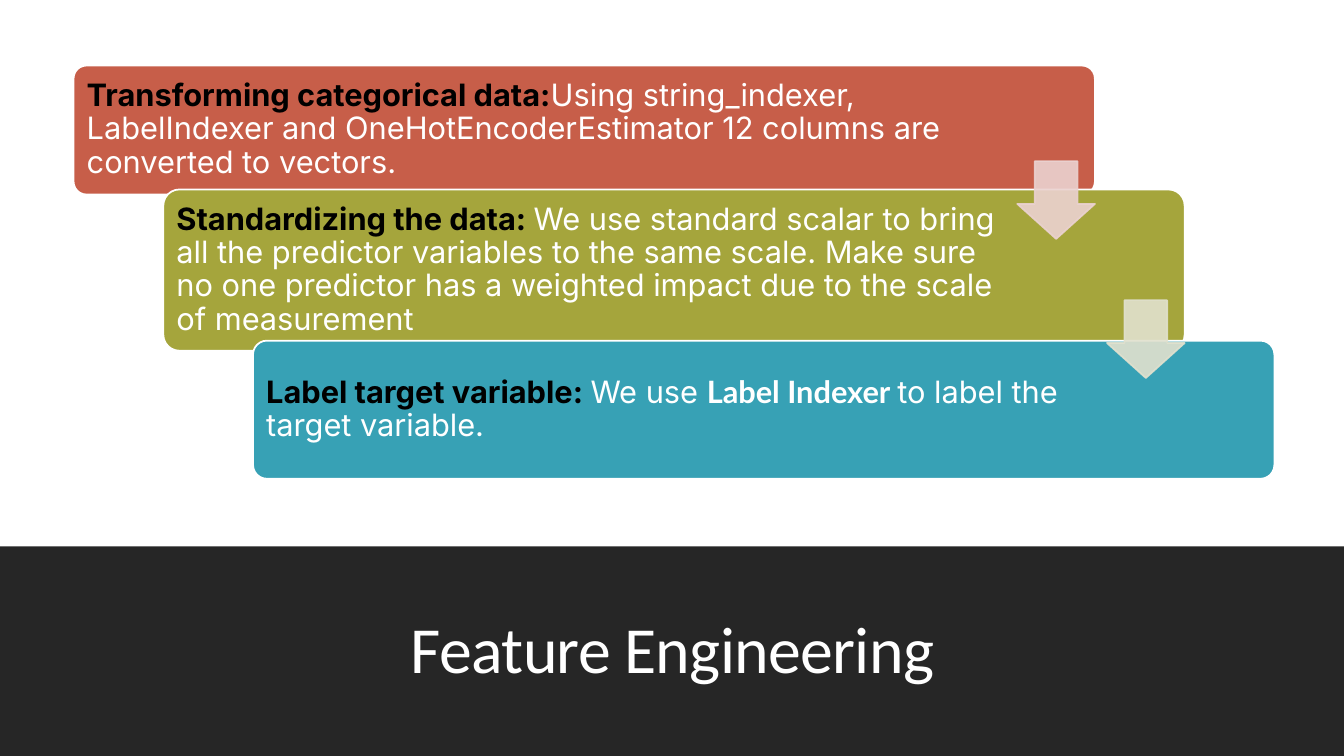
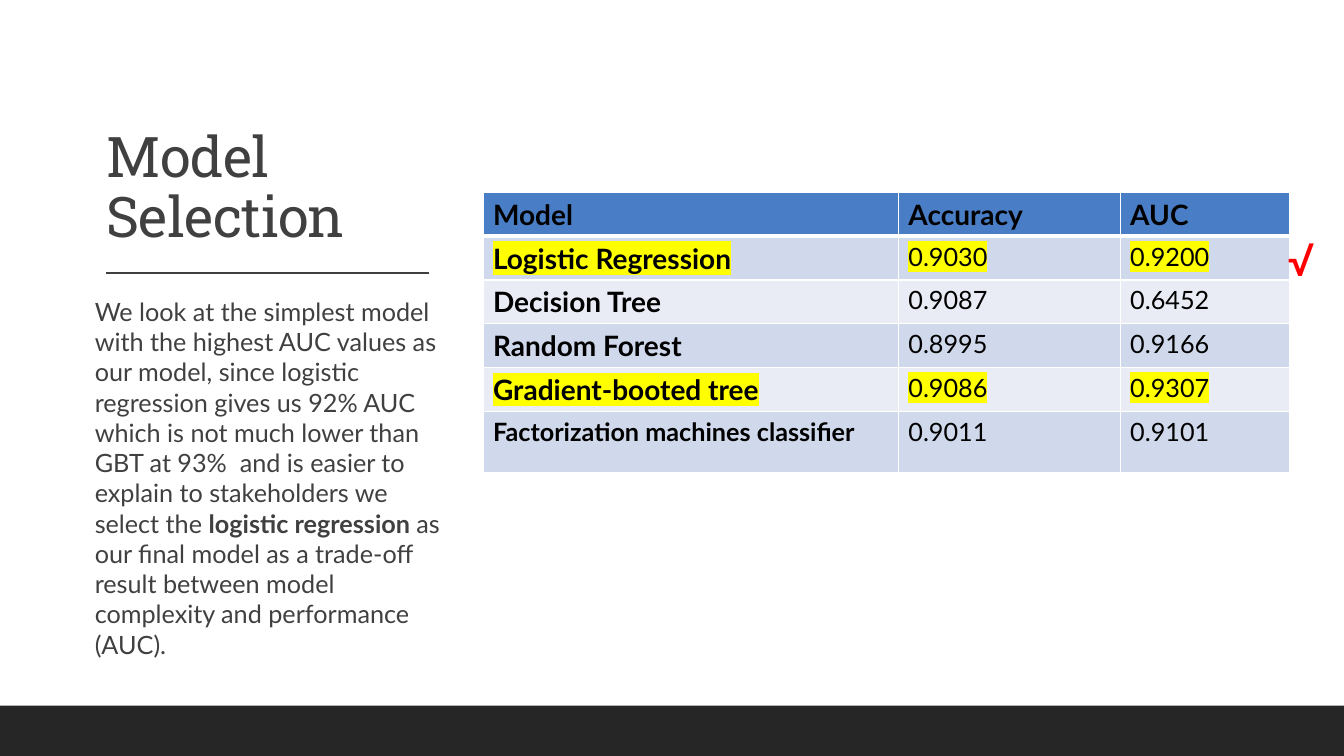
from lxml import etree
from pptx import Presentation
from pptx.dml.color import RGBColor
from pptx.enum.shapes import MSO_CONNECTOR, MSO_SHAPE
from pptx.enum.text import MSO_ANCHOR, PP_ALIGN
from pptx.oxml.ns import qn
from pptx.util import Inches, Pt

COLORS = {
    "dark": "262626", "gray": "404040", "white": "FFFFFF", "black": "000000",
    "red": "C75E49", "olive": "A5A53C", "teal": "37A1B5",
    "pink_arrow": "EBD2D0", "olive_arrow": "E1E1CE",
    "header": "497EC7", "odd_row": "D0D8EB", "even_row": "E9ECF5",
    "highlight": "FFFF00", "check": "FF0000",
}
SLIDE_W, SLIDE_H = 13.33, 7.5


def rgb(name):
    return RGBColor.from_string(COLORS[name])


def add_run(paragraph, text, size, font, color, bold=False, highlight=False, spacing=None):
    run = paragraph.add_run()
    run.text = text
    run.font.size, run.font.name, run.font.bold = Pt(size), font, bold
    run.font.color.rgb = rgb(color)
    properties = run.font._element
    if highlight:
        marker = etree.Element(qn("a:highlight"))
        etree.SubElement(marker, qn("a:srgbClr"), val=COLORS["highlight"])
        properties.find(qn("a:solidFill")).addnext(marker)
    if spacing is not None:
        properties.set("spc", str(int(spacing * 100)))


def add_text(slide, box, runs, anchor=MSO_ANCHOR.TOP, align=PP_ALIGN.LEFT,
             line_spacing=None, insets=(0.1, 0.05)):
    """Each run is (text, size, font, color) plus optional bold, highlight, spacing."""
    frame = slide.shapes.add_textbox(*map(Inches, box)).text_frame
    frame.word_wrap = True
    frame.vertical_anchor = anchor
    frame.margin_left = frame.margin_right = Inches(insets[0])
    frame.margin_top = frame.margin_bottom = Inches(insets[1])
    paragraph = frame.paragraphs[0]
    paragraph.alignment = align
    if line_spacing:
        paragraph.line_spacing = line_spacing
    for run in runs:
        add_run(paragraph, *run)


def add_title(slide, box, text, size, font, color, align=PP_ALIGN.LEFT):
    add_text(slide, box, [(text, size, font, color, False, False, -0.5)],
             MSO_ANCHOR.BOTTOM, align, 0.9)


def add_block(slide, kind, box, fill, line=None, adjustments=(), opacity=None):
    block = slide.shapes.add_shape(kind, *map(Inches, box))
    block.shadow.inherit = False
    for index, value in enumerate(adjustments):
        block.adjustments[index] = value
    block.fill.solid()
    block.fill.fore_color.rgb = rgb(fill)
    if line:
        block.line.color.rgb = rgb(line)
        block.line.width = Pt(1.25)
    else:
        block.line.fill.background()
    if opacity:
        for color in block._element.spPr.iter(qn("a:srgbClr")):
            etree.SubElement(color, qn("a:alpha"), val=str(opacity * 1000))


def add_bottom_band(slide, height):
    add_block(slide, MSO_SHAPE.RECTANGLE, (0, SLIDE_H - height, SLIDE_W, height), "dark")


# Staircase of overlapping steps
def add_staircase(slide, left, steps, arrows):
    step_width, indent, edge, arrow_size = 10.13, 0.89, 0.04, 0.77
    for index, (top, height, text_width, fill, runs) in enumerate(steps):
        x = left + index * indent
        add_block(slide, MSO_SHAPE.ROUNDED_RECTANGLE, (x, top, step_width, height),
                  fill, "white", [0.1])
        add_text(slide, (x + edge, top + edge, text_width, height - 2 * edge), runs,
                 MSO_ANCHOR.MIDDLE, line_spacing=0.9, insets=(0.09, 0.09))
    for index, (top, fill) in enumerate(arrows):
        x = left + index * indent + step_width - arrow_size
        add_block(slide, MSO_SHAPE.DOWN_ARROW, (x, top, arrow_size, arrow_size),
                  fill, fill, [0.55, 0.45], opacity=90)


def build_feature_engineering(slide):
    add_bottom_band(slide, 2.08)
    add_title(slide, (1.17, 5.74, 11, 1.13), "Feature Engineering", 47, "Calibri",
              "white", PP_ALIGN.CENTER)
    heading, body = (22, "Inter", "black", True), (22, "Inter", "white")
    steps = [
        (0.65, 1.28, 8.85, "red", [
            ("Transforming categorical data:", *heading),
            ("Using string_indexer, LabelIndexer and OneHotEncoderEstimator 12 columns "
             "are converted to vectors.", *body)]),
        (1.88, 1.6, 8.37, "olive", [
            ("Standardizing the data: ", *heading),
            ("We use standard scalar to bring all the predictor variables to the same "
             "scale. Make sure no one predictor has a weighted impact due to the scale "
             "of measurement", *body)]),
        (3.38, 1.37, 8.39, "teal", [
            ("Label target variable: ", *heading),
            ("We use ", *body),
            ("Label Indexer ", 22, "Lato", "white", True),
            ("to label the target variable.", *body)]),
    ]
    add_staircase(slide, 0.73, steps, [(1.6, "pink_arrow"), (2.98, "olive_arrow")])


# Title, rule and explanation on the left
def add_explanation(slide, left, top):
    add_title(slide, (left + 0.02, top, 3.48, 1.83), "Model Selection", 40,
              "Roboto Slab", "gray")
    rule_y = Inches(top + 2.01)
    rule = slide.shapes.add_connector(MSO_CONNECTOR.STRAIGHT, Inches(left + 0.11), rule_y,
                                      Inches(left + 3.31), rule_y)
    rule.line.color.rgb = rgb("gray")
    rule.line.width = Pt(1)
    etree.SubElement(rule._element.spPr, qn("a:effectLst"))
    body = (18, "Lato", "gray")
    add_text(slide, (left, top + 2.19, 3.51, 3.53), [
        ("We look at the simplest model with the highest AUC values as our model, since "
         "logistic regression gives us 92% AUC which is not much lower than GBT at 93%  "
         "and is easier to explain to stakeholders we select the ", *body),
        ("logistic regression ", *body, True),
        ("as our final model as a trade-off result between model complexity and "
         "performance (AUC).", *body)], insets=(0, 0.05))


def set_borders(cell, bottom_width):
    properties = cell._tc.get_or_add_tcPr()
    for side, width in (("L", 1), ("R", 1), ("T", 1), ("B", bottom_width)):
        border = etree.SubElement(properties, qn(f"a:ln{side}"), w=str(Pt(width)))
        fill = etree.SubElement(border, qn("a:solidFill"))
        etree.SubElement(fill, qn("a:srgbClr"), val=COLORS["white"])


# Table of model scores
def add_scores(slide, box):
    rows = [
        ("Model", "Accuracy", "AUC"),
        ("Logistic Regression", "0.9030", "0.9200"),
        ("Decision Tree", "0.9087", "0.6452"),
        ("Random Forest", "0.8995", "0.9166"),
        ("Gradient-booted tree", "0.9086", "0.9307"),
        ("Factorization machines classifier", "0.9011", "0.9101"),
    ]
    highlighted, last = (1, 4), len(rows) - 1
    table = slide.shapes.add_table(len(rows), 3, *map(Inches, box)).table
    for column, width in zip(table.columns, (4.12, 2.2, 1.68)):
        column.width = Inches(width)
    for r, values in enumerate(rows):
        table.rows[r].height = Inches(0.61 if r == last else 0.38)
        row_fill = "header" if r == 0 else "odd_row" if r % 2 else "even_row"
        for c, value in enumerate(values):
            cell = table.cell(r, c)
            set_borders(cell, 3 if r == 0 else 1)
            cell.fill.solid()
            cell.fill.fore_color.rgb = rgb(row_fill)
            is_heading = r == 0 or c == 0
            size = 20 if is_heading and r != last else 18
            add_run(cell.text_frame.paragraphs[0], value, size, "Lato", "black",
                    is_heading, r in highlighted)


def build_model_selection(slide):
    add_explanation(slide, 0.94, 0.7)
    add_bottom_band(slide, 0.5)
    add_scores(slide, (4.79, 1.91, 8, 2.51))
    # Check mark beside the chosen model
    add_text(slide, (12.67, 2.25, 0.66, 0.64), [("√", 32, "Inter", "check")])


presentation = Presentation()
presentation.slide_width, presentation.slide_height = Inches(SLIDE_W), Inches(SLIDE_H)
for build in (build_feature_engineering, build_model_selection):
    build(presentation.slides.add_slide(presentation.slide_layouts[6]))
presentation.save("out.pptx")
